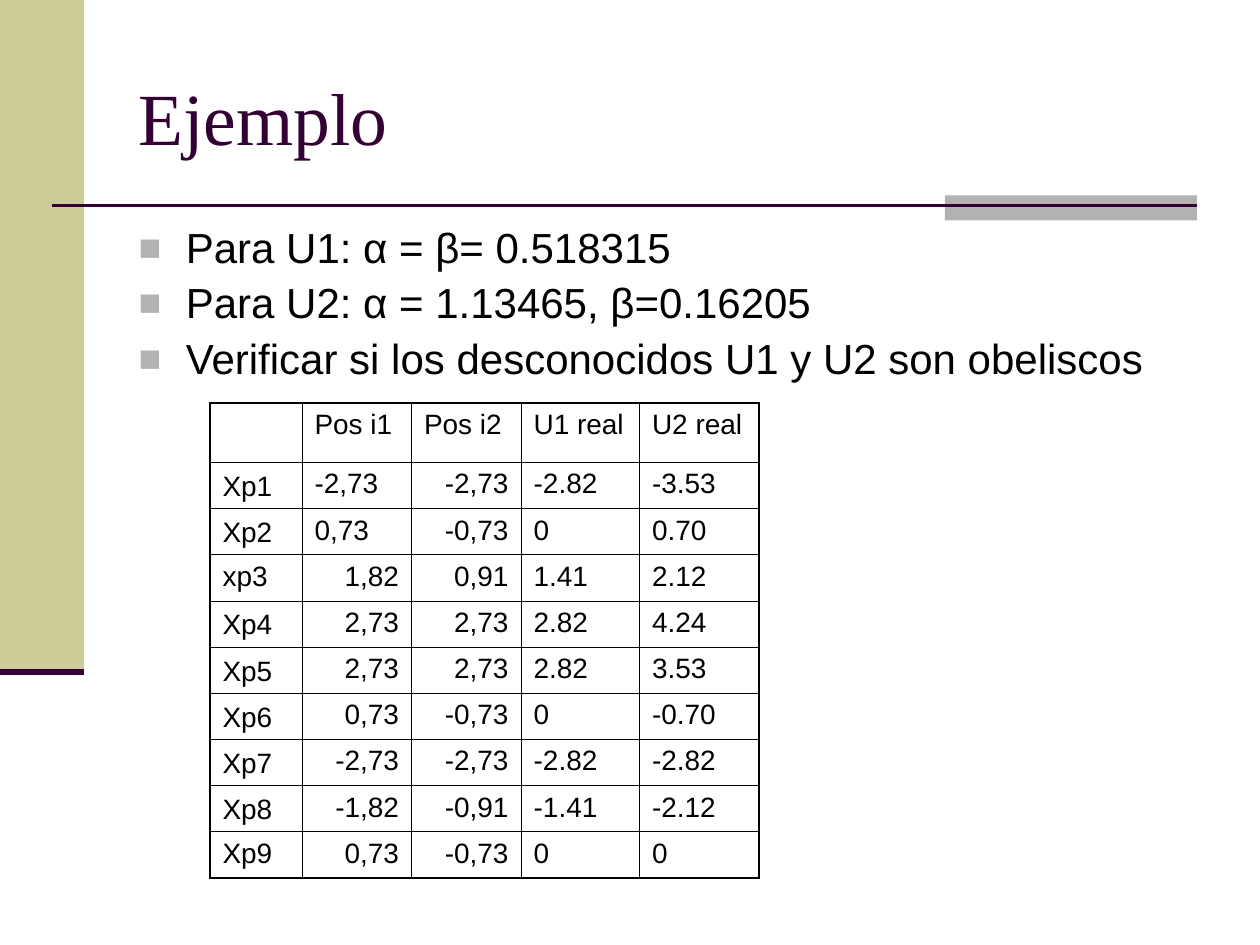
from lxml import etree
from pptx import Presentation
from pptx.dml.color import RGBColor
from pptx.enum.shapes import MSO_CONNECTOR, MSO_SHAPE
from pptx.enum.text import MSO_ANCHOR, MSO_AUTO_SIZE, PP_ALIGN
from pptx.oxml.ns import qn
from pptx.util import Pt

RECTANGLE = MSO_SHAPE.RECTANGLE
STRAIGHT = MSO_CONNECTOR.STRAIGHT
TOP, MIDDLE, BOTTOM = MSO_ANCHOR.TOP, MSO_ANCHOR.MIDDLE, MSO_ANCHOR.BOTTOM
LEFT, RIGHT = PP_ALIGN.LEFT, PP_ALIGN.RIGHT
NO_AUTOFIT = MSO_AUTO_SIZE.NONE

OLIVE = RGBColor(0xCC, 0xCC, 0x99)
GRAY = RGBColor(0xB2, 0xB2, 0xB2)
PURPLE = RGBColor(0x33, 0x00, 0x33)
BLACK = RGBColor(0x00, 0x00, 0x00)

TITLE_FONT = {"name": "Times New Roman", "size": Pt(42)}
BODY_FONT = {"name": "Arial", "size": Pt(24)}
CELL_FONT = {"name": "Arial", "size": Pt(16)}

BULLETS = [
    "Para U1: α = β= 0.518315",
    "Para U2: α = 1.13465, β=0.16205",
    "Verificar si los desconocidos U1 y U2 son obeliscos",
]
ROWS = [
    ["", "Pos i1", "Pos i2", "U1 real", "U2 real"],
    ["Xp1", "-2,73", "-2,73", "-2.82", "-3.53"],
    ["Xp2", "0,73", "-0,73", "0", "0.70"],
    ["xp3", "1,82", "0,91", "1.41", "2.12"],
    ["Xp4", "2,73", "2,73", "2.82", "4.24"],
    ["Xp5", "2,73", "2,73", "2.82", "3.53"],
    ["Xp6", "0,73", "-0,73", "0", "-0.70"],
    ["Xp7", "-2,73", "-2,73", "-2.82", "-2.82"],
    ["Xp8", "-1,82", "-0,91", "-1.41", "-2.12"],
    ["Xp9", "0,73", "-0,73", "0", "0"],
]
COLUMN_WIDTHS = [52.56, 62.64, 62.64, 67.68, 68.4]
HEADER_HEIGHT, ROW_HEIGHT = 33.84, 26.4
OUTER_LINE, INNER_LINE = 1.08, 0.45
TOP_LABELS = ("xp3", "Xp9")  # row labels set at the top of their cell
FIRST_RIGHT_ROW = {1: 3, 2: 1}  # column: first row aligned right


def set_values(target, values):
    for name, value in values.items():
        setattr(target, name, value)


def add_text(paragraph, text, font, color):
    run = paragraph.add_run()
    run.text = text
    set_values(run.font, font)
    run.font.color.rgb = color


def add_block(slide, left, top, width, height, color):
    block = slide.shapes.add_shape(RECTANGLE, Pt(left), Pt(top), Pt(width), Pt(height))
    block.shadow.inherit = False
    block.fill.solid()
    block.fill.fore_color.rgb = color
    block.line.fill.background()


def add_rule(slide, left, right, y, width):
    rule = slide.shapes.add_connector(STRAIGHT, Pt(left), Pt(y), Pt(right), Pt(y))
    rule.line.color.rgb = PURPLE
    rule.line.width = Pt(width)
    etree.SubElement(rule._element.spPr, qn("a:effectLst"))


def place(shape, left, top, width, height, anchor):
    set_values(shape, {"left": Pt(left), "top": Pt(top),
                       "width": Pt(width), "height": Pt(height)})
    set_values(shape.text_frame, {"word_wrap": True, "auto_size": NO_AUTOFIT,
                                  "vertical_anchor": anchor})


def add_bullet(paragraph):
    properties = paragraph._p.get_or_add_pPr()
    properties.set("marL", str(Pt(27)))
    properties.set("indent", str(-Pt(27)))
    color = etree.SubElement(properties, qn("a:buClr"))
    etree.SubElement(color, qn("a:srgbClr"), val=str(GRAY))
    etree.SubElement(properties, qn("a:buSzPct"), val="90000")
    etree.SubElement(properties, qn("a:buFont"), typeface="Arial")
    etree.SubElement(properties, qn("a:buChar"), char="■")


def fill_body(body):
    frame = body.text_frame
    for index, text in enumerate(BULLETS):
        paragraph = frame.add_paragraph() if index else frame.paragraphs[0]
        add_bullet(paragraph)
        set_values(paragraph, {"line_spacing": 0.9, "alignment": LEFT,
                               "space_before": Pt(6 if index else 0)})
        add_text(paragraph, text, BODY_FONT, BLACK)


def set_borders(cell, outer_sides):
    properties = cell._tc.get_or_add_tcPr()
    for side, is_outer in outer_sides.items():
        width = Pt(OUTER_LINE if is_outer else INNER_LINE)
        border = etree.SubElement(properties, qn(f"a:ln{side}"), w=str(width))
        fill = etree.SubElement(border, qn("a:solidFill"))
        etree.SubElement(fill, qn("a:srgbClr"), val=str(BLACK))


def add_value_table(slide, left, top):
    height = HEADER_HEIGHT + ROW_HEIGHT * (len(ROWS) - 1)
    table = slide.shapes.add_table(len(ROWS), len(COLUMN_WIDTHS), Pt(left), Pt(top),
                                   Pt(sum(COLUMN_WIDTHS)), Pt(height)).table
    set_values(table, {"first_row": False, "horz_banding": False})
    for column, width in zip(table.columns, COLUMN_WIDTHS):
        column.width = Pt(width)
    last_row, last_column = len(ROWS) - 1, len(COLUMN_WIDTHS) - 1
    for r, values in enumerate(ROWS):
        table.rows[r].height = Pt(ROW_HEIGHT if r else HEADER_HEIGHT)
        for c, text in enumerate(values):
            cell = table.cell(r, c)
            set_borders(cell, {"L": c == 0, "R": c == last_column,
                               "T": r == 0, "B": r == last_row})
            cell.fill.background()
            is_low = c == 0 and r > 0 and text not in TOP_LABELS
            cell.vertical_anchor = BOTTOM if is_low else TOP
            paragraph = cell.text_frame.paragraphs[0]
            is_right = r >= FIRST_RIGHT_ROW.get(c, len(ROWS))
            paragraph.alignment = RIGHT if is_right else LEFT
            if text:
                add_text(paragraph, text, CELL_FONT, BLACK)


def main():
    presentation = Presentation()
    presentation.slide_width, presentation.slide_height = Pt(720), Pt(540)
    slide = presentation.slides.add_slide(presentation.slide_layouts[1])

    # Side band, accent bar and rules
    add_block(slide, 0, 0, 48, 384, OLIVE)
    add_block(slide, 540, 111.6, 144, 14.4, GRAY)
    add_rule(slide, 30, 684, 117.6, 1.5)
    add_rule(slide, 0, 48, 384, 3.5)

    # Title
    title = slide.shapes.title
    place(title, 72, 21.6, 612, 90, MIDDLE)
    heading = title.text_frame.paragraphs[0]
    heading.alignment = LEFT
    add_text(heading, "Ejemplo", TITLE_FONT, PURPLE)

    # Bulleted list
    body = slide.placeholders[1]
    place(body, 72, 126, 612, 98.64, TOP)
    fill_body(body)

    # Table of positions and real values
    add_value_table(slide, 120, 230.4)

    presentation.save("out.pptx")


if __name__ == "__main__":
    main()
